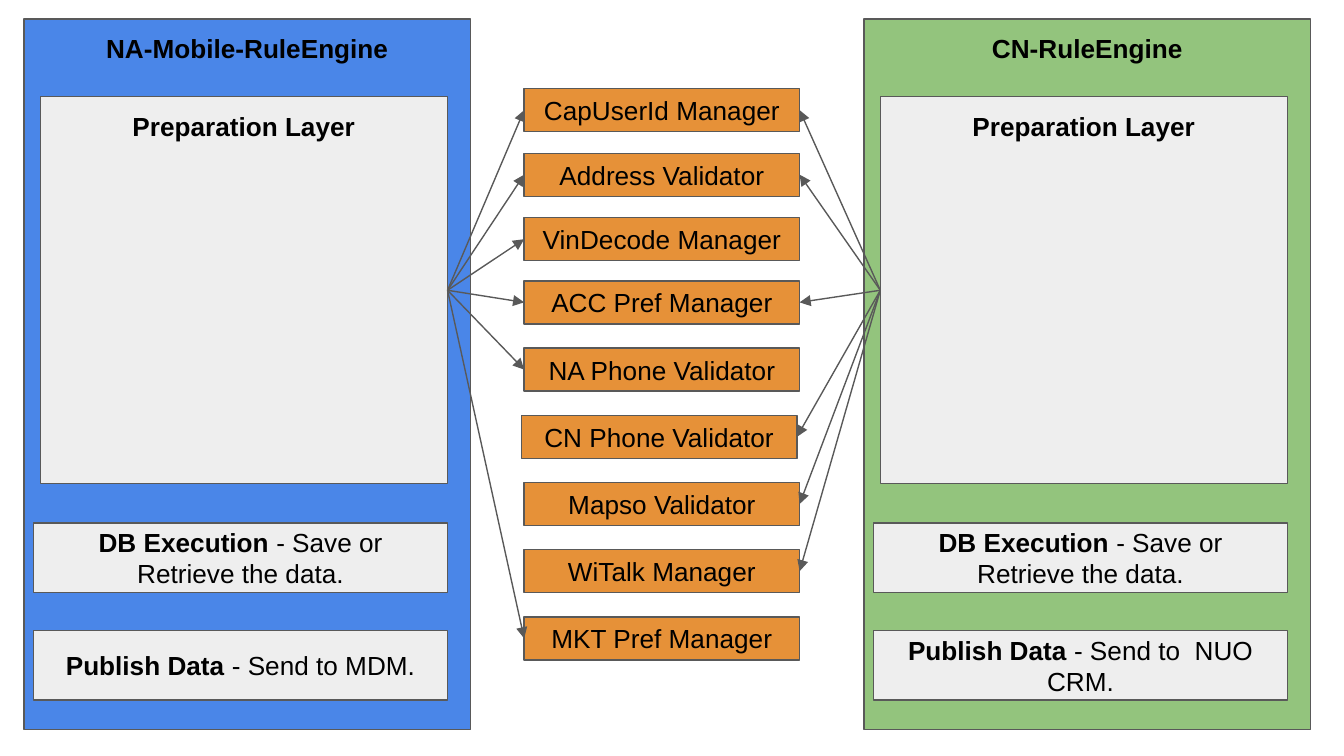
from lxml.etree import SubElement
from pptx import Presentation
from pptx.dml.color import RGBColor
from pptx.enum.shapes import MSO_CONNECTOR as LINK, MSO_SHAPE as SHAPE
from pptx.enum.text import MSO_ANCHOR as ANCHOR, PP_ALIGN as ALIGN
from pptx.oxml.ns import qn
from pptx.util import Inches, Pt

BLUE = RGBColor(0x4A, 0x86, 0xE8)
GREEN = RGBColor(0x93, 0xC4, 0x7D)
ORANGE = RGBColor(0xE6, 0x91, 0x38)
PALE = RGBColor(0xEE, 0xEE, 0xEE)
GREY = RGBColor(0x59, 0x59, 0x59)
BLACK = RGBColor(0, 0, 0)

LEFT, RIGHT = 1, 3  # connection sites of a rectangle

# Name, users (N = NA engine, C = CN engine), top, shift from the column
MANAGERS = [
    ("CapUserId Manager", "NC", 0.66, 0),
    ("Address Validator", "NC", 1.14, 0),
    ("VinDecode Manager", "N", 1.62, 0),
    ("ACC Pref Manager", "NC", 2.09, 0),
    ("NA Phone Validator", "N", 2.59, 0),
    ("CN Phone Validator", "C", 3.09, -0.02),
    ("Mapso Validator", "C", 3.59, 0),
    ("WiTalk Manager", "C", 4.09, 0),
    ("MKT Pref Manager", "N", 4.59, 0),
]


def add_box(slide, area, fill, bold="", plain="", anchor=ANCHOR.MIDDLE):
    """Draw an outlined box whose text starts bold and goes on plain."""
    box = slide.shapes.add_shape(SHAPE.RECTANGLE, *map(Inches, area))
    box.shadow.inherit = False
    box.fill.solid()
    box.fill.fore_color.rgb = fill
    box.line.color.rgb = GREY
    box.line.width = Pt(0.75)
    frame = box.text_frame
    frame.word_wrap = True
    frame.vertical_anchor = anchor
    frame.margin_left = frame.margin_right = Inches(0.1)
    frame.margin_top = frame.margin_bottom = Inches(0.1)
    para = frame.paragraphs[0]
    para.alignment = ALIGN.CENTER
    for text, strong in ((bold, True), (plain, False)):
        if text:
            run = para.add_run()
            run.text = text
            run.font.name = "Arial"
            run.font.size = Pt(14)
            run.font.bold = strong
            run.font.color.rgb = BLACK
    return box


def add_engine(slide, left, top, fill, title, target):
    """Draw one engine panel and return its preparation box."""
    add_box(slide, (left, top, 3.32, 5.29), fill, title, anchor=ANCHOR.TOP)
    prep = add_box(slide, (left + 0.12, top + 0.58, 3.03, 2.88), PALE,
                   "Preparation Layer", anchor=ANCHOR.TOP)
    steps = [("DB Execution ", "- Save or Retrieve the data."),
             ("Publish Data ", f"- Send to {target}.")]
    for i, (name, note) in enumerate(steps):
        area = (left + 0.07, top + 3.75 + 0.8 * i, 3.08, 0.52)
        add_box(slide, area, PALE, name, note)
    return prep


def add_arrow(slide, start, out, end, into):
    """Join two boxes at the given sites with an arrow."""
    arrow = slide.shapes.add_connector(LINK.STRAIGHT, 0, 0, 0, 0)
    arrow.begin_connect(start, out)
    arrow.end_connect(end, into)
    arrow.line.color.rgb = GREY
    arrow.line.width = Pt(0.75)
    props = arrow.line._get_or_add_ln()
    SubElement(props, qn("a:tailEnd"), type="triangle")
    SubElement(props.getparent(), qn("a:effectLst"))


def add_managers(slide, left, na_prep, cn_prep):
    """Draw the shared managers and the arrows from both engines."""
    for name, users, top, shift in MANAGERS:
        area = (left + shift, top, 2.05, 0.32)
        box = add_box(slide, area, ORANGE, plain=name)
        if "N" in users:
            add_arrow(slide, na_prep, RIGHT, box, LEFT)
        if "C" in users:
            add_arrow(slide, cn_prep, LEFT, box, RIGHT)


def main():
    deck = Presentation()
    # Widescreen, 16:9
    deck.slide_width = Inches(10)
    deck.slide_height = Inches(10 * 9 / 16)
    slide = deck.slides.add_slide(deck.slide_layouts[6])
    na_prep = add_engine(slide, 0.18, 0.14, BLUE,
                         "NA-Mobile-RuleEngine", "MDM")
    cn_prep = add_engine(slide, 6.43, 0.14, GREEN,
                         "CN-RuleEngine", " NUO CRM")
    add_managers(slide, 3.9, na_prep, cn_prep)
    deck.save("out.pptx")


if __name__ == "__main__":
    main()
